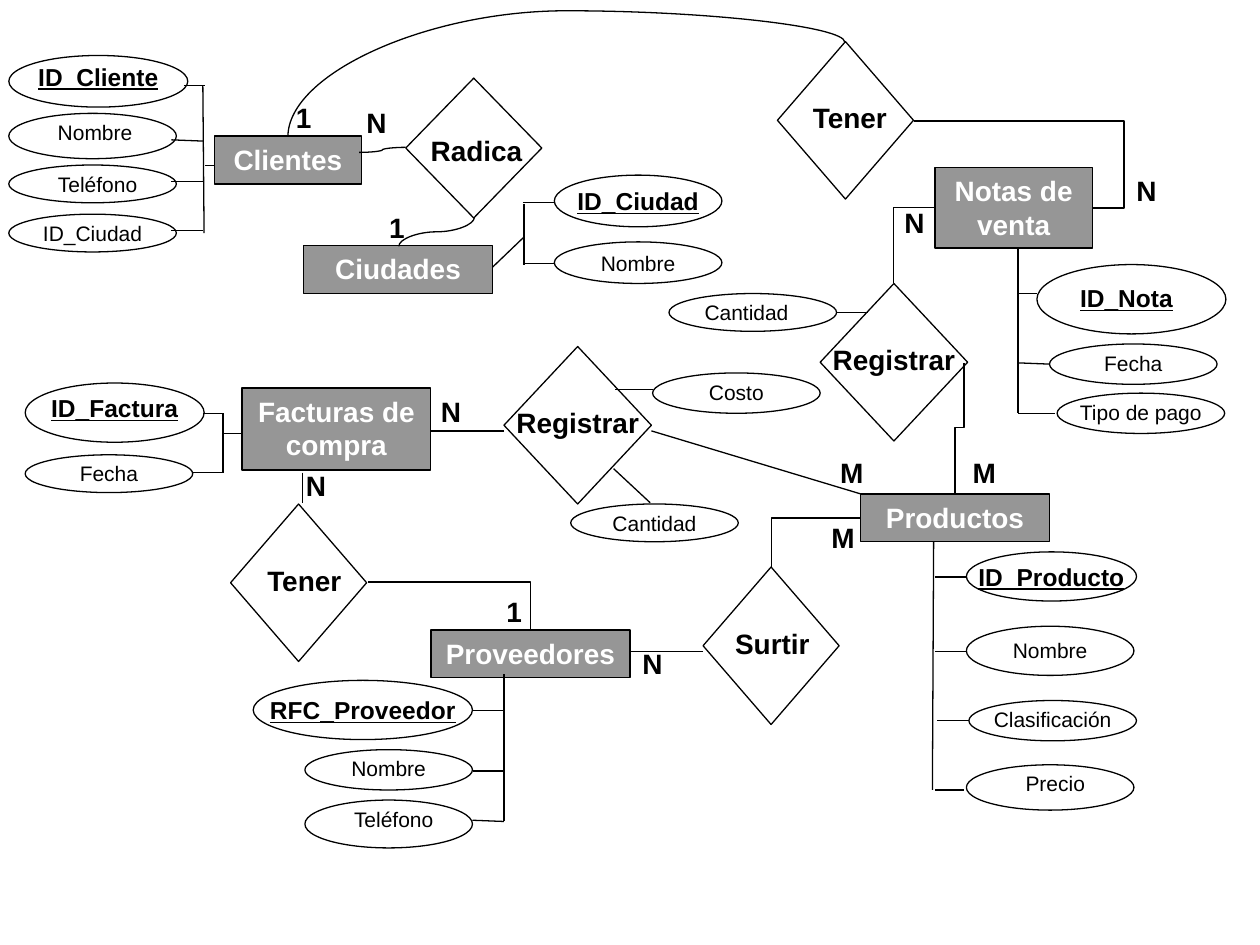
from dataclasses import dataclass

from lxml import etree
from pptx import Presentation
from pptx.dml.color import RGBColor
from pptx.enum.shapes import MSO_CONNECTOR, MSO_SHAPE
from pptx.enum.text import MSO_ANCHOR, MSO_AUTO_SIZE, PP_ALIGN
from pptx.oxml.ns import qn
from pptx.util import Inches, Pt

RECT, OVAL, DIAMOND = MSO_SHAPE.RECTANGLE, MSO_SHAPE.OVAL, MSO_SHAPE.FLOWCHART_DECISION
STRAIGHT, ELBOW, CURVE = MSO_CONNECTOR.STRAIGHT, MSO_CONNECTOR.ELBOW, MSO_CONNECTOR.CURVE
LEFT, CENTER = PP_ALIGN.LEFT, PP_ALIGN.CENTER
TOP, MIDDLE = MSO_ANCHOR.TOP, MSO_ANCHOR.MIDDLE
FIT = MSO_AUTO_SIZE.SHAPE_TO_FIT_TEXT


@dataclass(frozen=True)
class Theme:
    font: str = "Arial"
    ink: RGBColor = RGBColor(0, 0, 0)
    entity: RGBColor = RGBColor(0x96, 0x96, 0x96)
    entity_text: RGBColor = RGBColor(255, 255, 255)
    title: int = 16
    key: int = 14
    body: int = 12
    line: float = 0.75
    thin: float = 0.5


T = Theme()

ENTITIES = [
    ("Clientes", (1.7, 1.08, 1.17, 0.38)),
    ("Facturas de compra", (1.92, 3.08, 1.5, 0.65)),
    ("Notas de venta", (7.42, 1.33, 1.25, 0.64)),
    ("Productos", (6.83, 3.92, 1.5, 0.38)),
    ("Proveedores", (3.42, 5, 1.58, 0.38)),
    ("Ciudades", (2.41, 1.95, 1.5, 0.38)),
]
RELATIONS = [
    ("Tener", (6.17, 0.33, 1.08, 1.25), (6.33, 0.75, 0.83), CENTER),
    ("Registrar", (6.51, 2.25, 1.17, 1.25), (6.51, 2.67, 1.25), LEFT),
    ("Surtir", (5.58, 4.5, 1.08, 1.25), (5.67, 4.92, 0.92), CENTER),
    ("Tener", (1.83, 4, 1.08, 1.25), (2, 4.42, 0.83), CENTER),
    ("Registrar", (4, 2.75, 1.17, 1.25), (4, 3.17, 1.25), LEFT),
    ("Radica", (3.22, 0.62, 1.08, 1.11), (3.32, 1.01, 1.08), LEFT),
]
KEYS = [
    ("ID_Cliente", (0.07, 0.44, 1.42, 0.41), 0),
    ("ID_Nota", (8.23, 2.1, 1.5, 0.55), 0.1),
    ("ID_Factura", (0.2, 3.04, 1.42, 0.47), 0.03),
]
ATTRIBUTES = [
    ("Nombre", (0.07, 0.9, 1.33, 0.36), {"dx": 0.1}),
    ("Teléfono", (0.07, 1.31, 1.33, 0.3), {"width": 1.25}),
    ("ID_Ciudad", (0.07, 1.7, 1.33, 0.3), {}),
    ("Fecha", (8.33, 2.73, 1.33, 0.32), {}),
    ("Tipo de pago", (8.39, 3.12, 1.33, 0.32), {}),
    ("Cantidad", (5.31, 2.33, 1.33, 0.3), {"dx": 0.03}),
    ("Costo", (5.18, 2.96, 1.33, 0.32), {}),
    ("Cantidad", (4.53, 4, 1.33, 0.3), {}),
    ("Fecha", (0.2, 3.61, 1.33, 0.3), {}),
    ("Nombre", (7.67, 4.97, 1.33, 0.39), {"dy": 0.04}),
    ("Clasificación", (7.69, 5.56, 1.33, 0.32), {}),
    ("Precio", (7.67, 6.07, 1.33, 0.36), {"width": 1.25}),
    ("Nombre", (2.42, 5.95, 1.33, 0.32), {}),
    ("Teléfono", (2.42, 6.35, 1.33, 0.38), {"width": 1.25}),
]
INNER_ATTRIBUTES = [
    ("ID_Producto", (7.67, 4.38, 1.35, 0.39), True),
    ("RFC_Proveedor", (2.01, 5.4, 1.74, 0.47), True),
    ("ID_Ciudad", (4.4, 1.39, 1.33, 0.41), True),
    ("Nombre", (4.4, 1.92, 1.33, 0.33), False),
]
CARDINALITIES = [
    ("1", 2.25, 0.75), ("N", 2.81, 0.79), ("1", 2.99, 1.62),
    ("N", 8.92, 1.33), ("N", 7.08, 1.58), ("M", 7.62, 3.57),
    ("M", 6.57, 3.57), ("M", 6.5, 4.08), ("N", 5, 5.08),
    ("N", 2.33, 3.67), ("1", 3.92, 4.67), ("N", 3.4, 3.08),
]
LINES = [
    (1.61, 0.68, 1.62, 1.85), (1.46, 0.68, 1.63, 0.68), (1.36, 1.11, 1.61, 1.12),
    (1.36, 1.44, 1.61, 1.44), (1.36, 1.83, 1.61, 1.83),
    (8.08, 1.98, 8.08, 3.28), (8.08, 2.33, 8.23, 2.33), (8.08, 2.88, 8.33, 2.89),
    (8.08, 3.28, 8.37, 3.28),
    (7.41, 4.3, 7.4, 6.27), (7.42, 4.58, 7.67, 4.58), (7.42, 5.17, 7.67, 5.17),
    (7.44, 5.72, 7.69, 5.72), (7.42, 6.27, 7.65, 6.27),
    (4, 5.35, 4, 6.52), (3.75, 5.64, 4, 5.64), (3.75, 6.12, 4, 6.12),
    (3.75, 6.51, 4, 6.52),
    (1.77, 3.28, 1.77, 3.75), (1.61, 3.28, 1.78, 3.28), (1.53, 3.75, 1.78, 3.75),
    (1.78, 3.44, 1.93, 3.44),
    (4.16, 1.62, 4.16, 2.1), (4.15, 1.61, 4.4, 1.61), (4.15, 2.09, 4.4, 2.09),
    (3.91, 2.12, 4.16, 1.88),
    (6.64, 2.48, 6.89, 2.48), (5.18, 3.09, 4.88, 3.09), (5.16, 3.99, 4.87, 3.72),
    (5.58, 5.17, 5, 5.17), (2.4, 3.75, 2.4, 3.99), (4, 3.42, 3.42, 3.42),
    (5.17, 3.42, 6.83, 3.92),
]
ROUTES = [
    (CURVE, (4.12, -1.5, 0.75, 4.42), {"rot": 270, "adj": 1.333}),
    (CURVE, (2.85, 1.17, 0.37, 0.04), {"flip": True, "adj": 0.5}),
    (CURVE, (3.35, 1.54, 0.23, 0.6), {"rot": 90, "adj": 0.5}),
    (ELBOW, (7.25, 0.96, 1.42, 0.69), {"adj": 1.176}),
    (ELBOW, (7.1, 3.36, 1.03, 0.07), {"rot": 90, "adj": 0.5}),
    (ELBOW, (7.09, 1.65, 0.32, 0.6), {"rot": 180, "flip": True}),
    (ELBOW, (6.12, 4.11, 0.71, 0.39), {"rot": 180, "flip": True}),
    (ELBOW, (2.92, 4.62, 1.29, 0.38), {}),
]


def write(sp, text, size=T.body, color=T.ink, bold=False, underline=False,
          align=CENTER, anchor=TOP, wrap=True):
    tf = sp.text_frame
    tf.word_wrap = wrap
    tf.vertical_anchor = anchor
    p = tf.paragraphs[0]
    p.alignment = align
    r = p.add_run()
    r.text = text
    f = r.font
    f.name, f.size, f.bold, f.underline = T.font, Pt(size), bold, underline
    f.color.rgb = color


def label(s, text, x, y, w, h, **fmt):
    sp = s.shapes.add_textbox(*map(Inches, (x, y, w, h)))
    write(sp, text, **fmt)
    sp.text_frame.auto_size = FIT


def outline(s, kind, box, fill=None):
    sp = s.shapes.add_shape(kind, *map(Inches, box))
    sp.shadow.inherit = False
    if fill is None:
        sp.fill.background()
    else:
        sp.fill.solid()
        sp.fill.fore_color.rgb = fill
    sp.line.color.rgb = T.ink
    sp.line.width = Pt(T.line)
    return sp


def entity(s, text, box):
    write(outline(s, RECT, box, T.entity), text, size=T.title, color=T.entity_text, bold=True)


def relation(s, text, box, text_at, align):
    outline(s, DIAMOND, box)
    label(s, text, *text_at, 0.37, size=T.title, bold=True, align=align)


def key(s, text, box, dy):
    outline(s, OVAL, box)
    label(s, text, box[0] - 0.08, box[1] + dy, 1.58, 0.33, size=T.key, bold=True, underline=True)


def attribute(s, text, box, dx=0.08, dy=0, width=1.17):
    outline(s, OVAL, box)
    label(s, text, box[0] + dx, box[1] + dy, width, 0.3)


def inner_attribute(s, text, box, is_key):
    write(outline(s, OVAL, box), text, size=T.key if is_key else T.body,
          bold=is_key, underline=is_key, anchor=MIDDLE, wrap=False)


def connect(s, kind, x1, y1, x2, y2, width=T.line):
    c = s.shapes.add_connector(kind, *map(Inches, (x1, y1, x2, y2)))
    c.line.color.rgb = T.ink
    c.line.width = Pt(width)
    etree.SubElement(c._element.spPr, qn("a:effectLst"))
    return c


def route(s, kind, box, rot=0, flip=False, adj=None):
    x, y, w, h = box
    spPr = connect(s, kind, x, y, x + w, y + h)._element.spPr
    xfrm = spPr.find(qn("a:xfrm"))
    xfrm.set("rot", str(rot * 60000))
    if flip:
        xfrm.set("flipV", "1")
    geom = spPr.find(qn("a:prstGeom"))
    if adj is None:
        geom.set("prst", "bentConnector2")
    else:
        gd = etree.SubElement(geom.find(qn("a:avLst")), qn("a:gd"))
        gd.set("name", "adj1")
        gd.set("fmla", f"val {round(adj * 100000)}")


def main():
    prs = Presentation()
    prs.slide_width, prs.slide_height = Inches(10), Inches(7.5)
    s = prs.slides.add_slide(prs.slide_layouts[6])
    for draw, rows in ((entity, ENTITIES), (relation, RELATIONS), (key, KEYS),
                       (inner_attribute, INNER_ATTRIBUTES)):
        for row in rows:
            draw(s, *row)
    for text, box, offsets in ATTRIBUTES:
        attribute(s, text, box, **offsets)
    for ends in LINES:
        connect(s, STRAIGHT, *ends)
    connect(s, STRAIGHT, 1.63, 1.31, 1.7, 1.31, width=T.thin)
    for kind, box, shape in ROUTES:
        route(s, kind, box, **shape)
    for text, x, y in CARDINALITIES:
        label(s, text, x, y, 0.25 if text == "1" else 0.42, 0.37,
              size=T.title, bold=True, align=LEFT)
    prs.save("out.pptx")


main()
